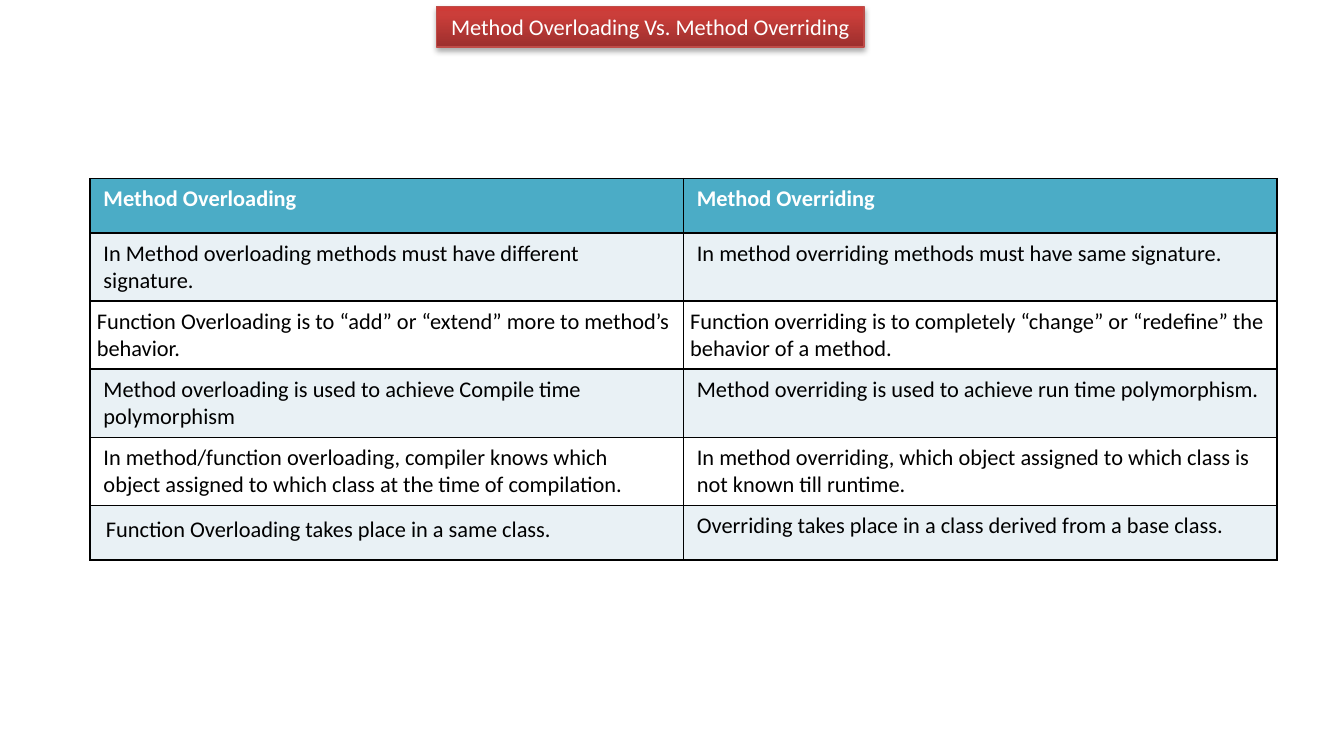
from lxml import etree
from pptx import Presentation
from pptx import util as u
from pptx.dml.color import RGBColor
from pptx.enum import text
from pptx.oxml import ns

PX = 9144
FONT = "Calibri"
COLORS = {
    "white": "FFFFFF", "black": "000000", "header": "4BACC6", "band": "E9F1F5",
    "edge": "BF4C48", "dark": "9C2F2D", "mid": "CB3E3A", "light": "CE3B37",
}
TITLE = "Method Overloading Vs. Method Overriding"
ROWS = [
    ("Method Overloading", "Method Overriding"),
    ("In Method overloading methods must have different signature.",
     "In method overriding methods must have same signature."),
    ("Function Overloading is to “add” or “extend” more to method’s behavior. ",
     "Function overriding is to completely “change” or “redefine” the behavior of a method."),
    ("Method overloading is used to achieve Compile time polymorphism",
     "Method overriding is used to achieve run time polymorphism."),
    ("In method/function overloading, compiler knows which object assigned to which class at the time of compilation.",
     "In method overriding, which object assigned to which class is not known till runtime."),
    (" Function Overloading takes place in a same class.",
     "Overriding takes place in a class derived from a base class."),
]
SIDES = ("left", "top", "right", "bottom")
INSETS = {(2, 0): 5, (2, 1): 5, (5, 0): 8}


def rgb(name):
    return RGBColor.from_string(COLORS[name])


def apply(target, values):
    for name, value in values.items():
        setattr(target, name, value)


def place(shape, box):
    apply(shape, {name: value * PX for name, value in zip(("left", "top", "width", "height"), box)})


def element(xml):
    return etree.fromstring(xml.replace(">", f' xmlns:a="{ns.nsuri("a")}">', 1))


def color_xml(name, inner=""):
    return f'<a:srgbClr val="{COLORS[name]}">{inner}</a:srgbClr>'


def write(frame, words, color, bold=False):
    para = frame.paragraphs[0]
    span = para.add_run()
    span.text = words
    apply(span.font, {"size": u.Pt(12), "name": FONT, "bold": bold})
    span.font.color.rgb = rgb(color)
    return para


def add_banner(page, box):
    banner = page.shapes.title
    place(banner, box)
    stops = "".join(f'<a:gs pos="{pos * 1000}">{color_xml(name)}</a:gs>'
                    for pos, name in ((0, "dark"), (80, "mid"), (100, "light")))
    props = banner.element.spPr
    props.append(element('<a:prstGeom prst="rect"><a:avLst/></a:prstGeom>'))
    props.append(element(f'<a:gradFill rotWithShape="1"><a:gsLst>{stops}</a:gsLst>'
                         '<a:lin ang="16200000" scaled="0"/></a:gradFill>'))
    banner.line.color.rgb = rgb("edge")
    banner.line.width = u.Pt(0.75)
    alpha = '<a:alpha val="35000"/>'
    props.append(element(
        f'<a:effectLst><a:outerShdw blurRad="{u.Pt(3.1)}" dist="{u.Pt(1.8)}" dir="5400000" '
        f'rotWithShape="0">{color_xml("black", alpha)}</a:outerShdw></a:effectLst>'))
    frame = banner.text_frame
    apply(frame, {"word_wrap": True, "vertical_anchor": text.MSO_ANCHOR.MIDDLE,
                  "auto_size": text.MSO_AUTO_SIZE.NONE})
    write(frame, TITLE, "white").alignment = text.PP_ALIGN.CENTER


def add_borders(cell):
    props = cell._tc.get_or_add_tcPr()
    for index, side in enumerate("LRTB"):
        props.insert(index, element(f'<a:ln{side} w="{u.Pt(1)}"><a:solidFill>{color_xml("black")}'
                                    f'</a:solidFill></a:ln{side}>'))


def add_comparison(page, box):
    grid = page.shapes.add_table(len(ROWS), len(ROWS[0]), *(value * PX for value in box)).table
    for row, entries in enumerate(ROWS):
        for column, words in enumerate(entries):
            cell = grid.cell(row, column)
            fill = "header" if row == 0 else "band" if row % 2 else "white"
            cell.fill.solid()
            cell.fill.fore_color.rgb = rgb(fill)
            add_borders(cell)
            if (row, column) in INSETS:
                inset = INSETS[row, column] * PX
                apply(cell, {f"margin_{side}": inset for side in SIDES})
            if row == 2:
                cell.vertical_anchor = text.MSO_ANCHOR.MIDDLE
            write(cell.text_frame, words, "black" if row else "white", row == 0)


def main():
    deck = Presentation()
    apply(deck, {"slide_width": 1000 * PX, "slide_height": 550 * PX})
    page = deck.slides.add_slide(deck.slide_layouts[5])
    add_banner(page, (325, 5, 318, 30))
    add_comparison(page, (67, 133, 883, 243))
    deck.save("out.pptx")


if __name__ == "__main__":
    main()
